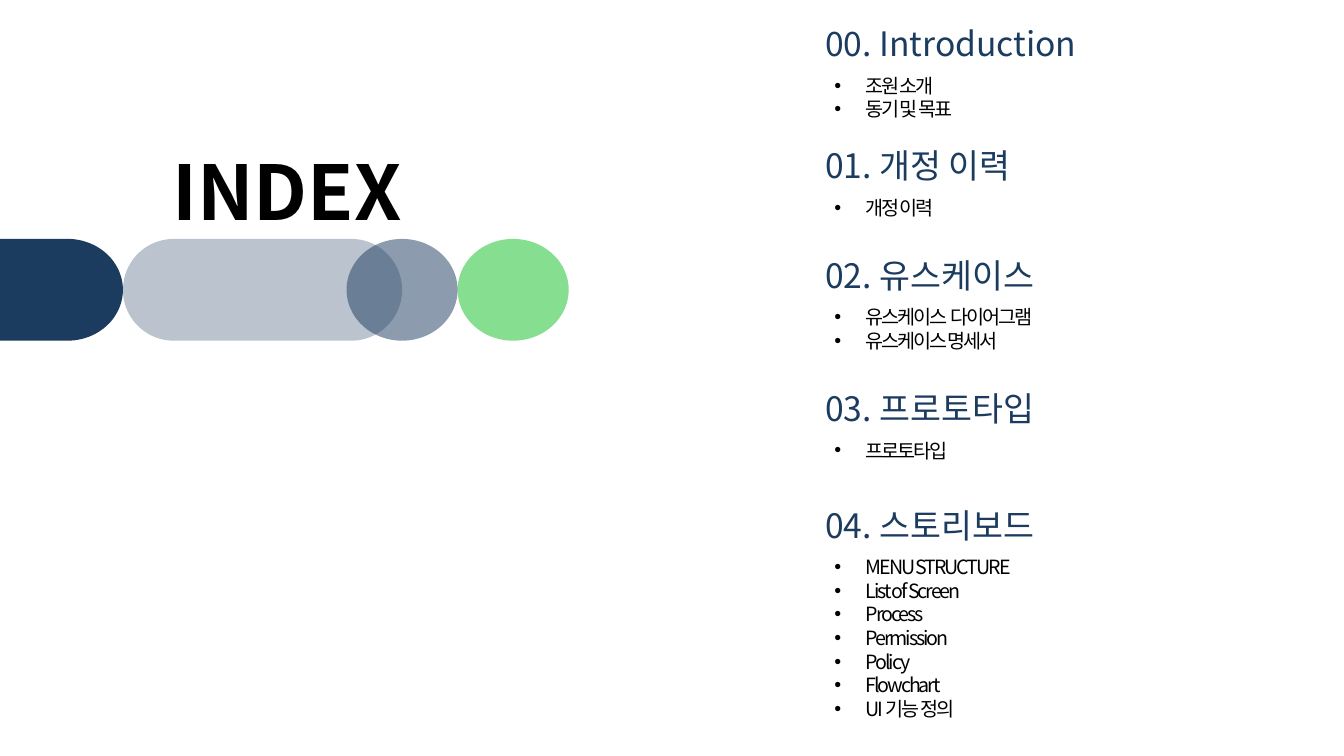
from dataclasses import dataclass
from math import cos, pi, sin

from lxml.etree import SubElement
from pptx import Presentation
from pptx.dml.color import RGBColor
from pptx.enum.shapes import MSO_SHAPE as Shape
from pptx.enum.text import MSO_ANCHOR as Anchor, PP_ALIGN as Align
from pptx.oxml.ns import qn
from pptx.util import Emu, Inches, Pt


@dataclass(frozen=True)
class Theme:
    font: str = "Noto Sans CJK KR"
    navy: str = "1B3B5F"
    green: str = "68D675"
    ink: str = "000000"
    title: int = 54
    heading: int = 24
    item: int = 14
    leading: float = 1.2
    tracking: float = -1.5


class IndexSlide:
    """Places elements on a grid of 160 columns by 90 rows."""
    COLS, ROWS = 160, 90

    def __init__(self, deck, theme):
        self.theme = theme
        self.slide = deck.slides.add_slide(deck.slide_layouts[6])
        self.col = deck.slide_width / self.COLS
        self.row = deck.slide_height / self.ROWS

    def box(self, left, top, width, height):
        return (Emu(round(left * self.col)), Emu(round(top * self.row)),
                Emu(round(width * self.col)), Emu(round(height * self.row)))

    def paint(self, shape, color, opacity):
        shape.shadow.inherit = False
        shape.line.fill.background()
        shape.fill.solid()
        shape.fill.fore_color.rgb = RGBColor.from_string(color)
        if opacity < 100:
            tint = shape.fill._xPr.find(qn("a:solidFill"))[0]
            SubElement(tint, qn("a:alpha"), val=str(opacity * 1000))
        return shape

    def preset(self, kind, place, color, opacity=100):
        shape = self.slide.shapes.add_shape(kind, *self.box(*place))
        return self.paint(shape, color, opacity)

    def tab(self, place, curve, color, steps=48):
        """A bar whose right end is a half ellipse, curve columns deep."""
        left, top, width, height = self.box(*place)
        depth = curve * self.col
        arc = [(left + width - depth + depth * cos(a), top + height / 2 * (1 + sin(a)))
               for a in (pi * (i / steps - 0.5) for i in range(steps + 1))]
        outline = self.slide.shapes.build_freeform(left, top)
        outline.add_line_segments(arc + [(left, top + height)], close=True)
        return self.paint(outline.convert_to_shape(), color, 100)

    def text(self, place, lines, size, color, bold=False, align=Align.LEFT,
             anchor=Anchor.TOP, bullets=False):
        frame = self.slide.shapes.add_textbox(*self.box(*place)).text_frame
        frame.word_wrap = True
        frame.vertical_anchor = anchor
        for i, line in enumerate(lines):
            para = frame.paragraphs[0] if i == 0 else frame.add_paragraph()
            para.alignment = align
            para.line_spacing = Pt(size * self.theme.leading)
            run = para.add_run()
            run.text = line
            style = {"size": Pt(size), "bold": bold, "name": self.theme.font}
            for key, value in style.items():
                setattr(run.font, key, value)
            run.font.color.rgb = RGBColor.from_string(color)
            props = run._r.get_or_add_rPr()
            SubElement(props, qn("a:ea"), typeface=self.theme.font)
            if bullets:
                props.set("spc", str(int(self.theme.tracking * 100)))
                self.bullet(para)

    def bullet(self, para):
        props = para._p.get_or_add_pPr()
        indent = Inches(0.31)
        for key, value in {"marL": indent, "indent": -indent}.items():
            props.set(key, str(value))
        SubElement(props, qn("a:buFont"), typeface="Arial")
        SubElement(props, qn("a:buChar"), char="•")

    def section(self, top, heading, items):
        theme = self.theme
        self.text((97.08, top, 51, 6), [heading], theme.heading, theme.navy,
                  anchor=Anchor.MIDDLE)
        self.text((98.16, top + 6, 60, 1.2 + 2.8 * len(items)), items,
                  theme.item, theme.ink, bullets=True)


SECTIONS = [
    (2.16, "00. Introduction", ["조원 소개", "동기 및 목표"]),
    (16.68, "01. 개정 이력", ["개정 이력"]),
    (29.76, "02. 유스케이스", ["유스케이스  다이어그램", "유스케이스 명세서"]),
    (45.6, "03. 프로토타입", ["프로토타입"]),
    (59.52, "04. 스토리보드", ["MENU STRUCTURE", "List of Screen", "Process",
                          "Permission", "Policy", "Flowchart", "UI 기능 정의"]),
]


def main():
    deck = Presentation()
    deck.slide_width, deck.slide_height = Inches(13.33), Inches(7.5)
    theme = Theme()
    index = IndexSlide(deck, theme)

    # Title
    index.text((6, 16.6, 43, 12.1), ["INDEX"], theme.title, theme.ink,
               bold=True, align=Align.RIGHT)

    # Band of rounded shapes
    band_top, band_height, disc = 28.44, 12.12, 13.22
    pill = index.preset(Shape.ROUNDED_RECTANGLE, (14.64, band_top, 33.24, band_height),
                        theme.navy, 30)
    pill.adjustments[0] = 0.5
    index.tab((0, band_top, 14.64, band_height), 6.6, theme.navy)
    for step, color, opacity in [(1, theme.green, 80), (0, theme.navy, 50)]:
        index.preset(Shape.OVAL, (41.26 + step * disc, band_top, disc, band_height),
                     color, opacity)

    # Contents
    for top, heading, items in SECTIONS:
        index.section(top, heading, items)

    deck.save("out.pptx")


if __name__ == "__main__":
    main()
